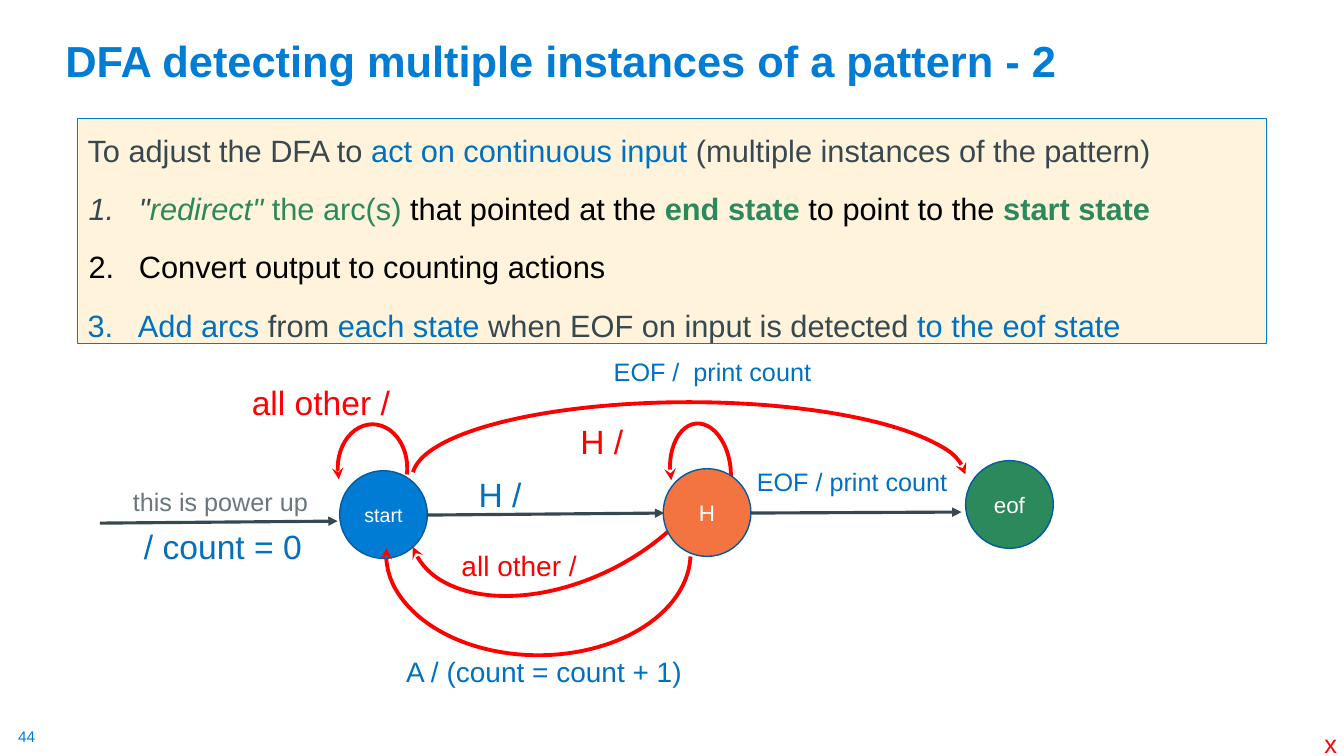
"""Build the slide on a DFA that detects multiple instances of a pattern."""
from dataclasses import dataclass

from lxml.etree import SubElement
from pptx import Presentation
from pptx.dml.color import RGBColor
from pptx.enum.shapes import MSO_CONNECTOR, MSO_SHAPE
from pptx.enum.text import MSO_ANCHOR, MSO_AUTO_SIZE, PP_ALIGN
from pptx.oxml.ns import qn
from pptx.util import Pt

FONT = "Arial"
SKY, BLUE, NAVY = "007CD5", "0070C0", "005C9E"
SLATE, GRAY, BLACK, WHITE = "384851", "6B767D", "000000", "FFFFFF"
RED, GREEN, ORANGE, CREAM = "FF0000", "2C895B", "F37440", "FFF4DB"


@dataclass
class Span:
    text: str
    color: str
    bold: bool = False
    italic: bool = False


@dataclass
class Label:
    text: str
    left: float
    top: float
    width: float
    height: float
    size: float
    color: str
    inset: bool = True


@dataclass
class State:
    name: str
    left: float
    top: float
    fill: str
    size: float
    diameter: float = 62.64


@dataclass
class Arc:
    left: float
    top: float
    width: float
    height: float
    rotation: float
    angles: tuple[float, float]
    flips: tuple[str, ...] = ()


@dataclass
class Transition:
    start: tuple[float, float]
    end: tuple[float, float]


STEPS = [
    (0, [Span("To adjust the DFA to ", SLATE), Span("act on continuous input", BLUE),
         Span(" (multiple instances of the pattern)", SLATE)]),
    (36.72, [Span('"', SLATE, italic=True), Span('redirect" ', GREEN, italic=True),
             Span("the arc(s) ", GREEN), Span("that pointed at the ", BLACK),
             Span("end state ", GREEN, bold=True), Span("to point to the ", BLACK),
             Span("start state", GREEN, bold=True)]),
    (36.72, [Span("Convert output to counting actions", BLACK)]),
    (36, [Span("Add arcs ", BLUE), Span("from ", SLATE), Span("each state ", BLUE),
          Span("when EOF on input is detected ", SLATE), Span("to the eof state", BLUE)]),
]
ARCS_BEHIND_STATES = [
    Arc(478.8, 302.4, 43.2, 68.4, 354.6, (97.26, 7.02), ("flipH",)),
    Arc(284.4, 270, 238.32, 144.72, 154.1, (139.73, 1.19)),
]
ARCS_OVER_STATES = [
    Arc(241.2, 303.12, 49.68, 62.64, 180, (101.78, 11.06), ("flipV",)),
    Arc(275.76, 322.56, 217.44, 145.44, 180, (108.69, 1.19)),
    Arc(294.48, 287.28, 395.28, 108, 180, (108.69, 215.59), ("flipH", "flipV")),
]
STATES = [
    State("start", 242.64, 336.24, SKY, 14),
    State("H", 473.76, 334.8, ORANGE, 16),
    State("eof", 689.76, 329.04, GREEN, 16),
]
TRANSITIONS = [
    Transition((71.28, 373.68), (241.2, 372.24)),
    Transition((304.56, 367.92), (474.48, 366.48)),
    Transition((536.4, 366.48), (686.88, 365.76)),
]
LABELS = [
    Label("44", 12.96, 519.12, 13.68, 13.68, 11, SKY, inset=False),
    Label("x", 938.88, 516.96, 23.76, 28.8, 18, RED),
    Label("H /", 407.52, 297.36, 45.36, 36, 24, RED),
    Label("H /", 334.8, 334.8, 45.36, 36, 24, BLUE),
    Label("all other /", 322.56, 388.08, 97.2, 31.68, 20, RED),
    Label("all other /", 172.8, 269.28, 114.48, 36, 24, RED),
    Label("A / (count = count + 1)", 282.96, 463.68, 212.4, 31.68, 20, BLUE),
    Label("EOF / print count", 533.52, 329.76, 156.96, 28.8, 18, BLUE),
    Label("EOF /  print count", 431.28, 251.28, 156.96, 28.8, 18, BLUE),
    Label("/ count = 0", 95.76, 372.24, 128.16, 36, 24, BLUE),
    Label("this is power up", 87.84, 344.16, 141.12, 28.8, 18, GRAY),
]


def rgb(color: str) -> RGBColor:
    return RGBColor.from_string(color)


def add_span(paragraph, span: Span, size: float) -> None:
    run = paragraph.add_run()
    run.text = span.text
    run.font.name = FONT
    run.font.size = Pt(size)
    run.font.bold = span.bold
    run.font.italic = span.italic
    run.font.color.rgb = rgb(span.color)


def set_line(shape, color: str, width: float, arrowhead: str = "") -> None:
    shape.line.color.rgb = rgb(color)
    shape.line.width = Pt(width)
    if arrowhead:
        SubElement(shape.line._get_or_add_ln(), qn("a:tailEnd"), type=arrowhead)


def add_preset(slide, preset, left: float, top: float, width: float, height: float):
    shape = slide.shapes.add_shape(preset, Pt(left), Pt(top), Pt(width), Pt(height))
    shape.shadow.inherit = False
    return shape


def add_title(slide) -> None:
    title = slide.shapes.add_textbox(Pt(39.6), Pt(9.36), Pt(828), Pt(56.16))
    frame = title.text_frame
    frame.word_wrap = True
    frame.vertical_anchor = MSO_ANCHOR.BOTTOM
    frame.paragraphs[0].line_spacing = 0.9
    heading = Span("DFA detecting multiple instances of a pattern - 2", SKY, bold=True)
    add_span(frame.paragraphs[0], heading, 31)


def add_steps(slide) -> None:
    panel = add_preset(slide, MSO_SHAPE.RECTANGLE, 55.44, 84.96, 848.88, 160.56)
    panel.fill.solid()
    panel.fill.fore_color.rgb = rgb(CREAM)
    set_line(panel, SKY, 0.75)
    frame = panel.text_frame
    frame.word_wrap = True
    frame.vertical_anchor = MSO_ANCHOR.TOP
    for index, (indent, spans) in enumerate(STEPS):
        paragraph = frame.add_paragraph() if index else frame.paragraphs[0]
        paragraph.alignment = PP_ALIGN.LEFT
        paragraph.line_spacing = 1.2
        if index:
            paragraph.space_before = Pt(10)
            properties = paragraph._p.get_or_add_pPr()
            properties.set("marL", str(Pt(indent)))
            properties.set("indent", str(Pt(-36)))
            SubElement(properties, qn("a:buFont"), typeface="+mj-lt")
            SubElement(properties, qn("a:buAutoNum"), type="arabicPeriod")
        for span in spans:
            add_span(paragraph, span, 22)


def add_arc(slide, arc: Arc) -> None:
    shape = add_preset(slide, MSO_SHAPE.ARC, arc.left, arc.top, arc.width, arc.height)
    shape.adjustments[0], shape.adjustments[1] = arc.angles
    shape.rotation = arc.rotation
    for flip in arc.flips:
        shape.element.spPr.xfrm.set(flip, "1")
    shape.fill.background()
    set_line(shape, RED, 2.75, "stealth")


def add_state(slide, state: State) -> None:
    circle = add_preset(slide, MSO_SHAPE.OVAL, state.left, state.top,
                        state.diameter, state.diameter)
    circle.fill.solid()
    circle.fill.fore_color.rgb = rgb(state.fill)
    set_line(circle, NAVY, 1)
    frame = circle.text_frame
    frame.word_wrap = False
    frame.vertical_anchor = MSO_ANCHOR.MIDDLE
    frame.paragraphs[0].alignment = PP_ALIGN.CENTER
    add_span(frame.paragraphs[0], Span(state.name, WHITE), state.size)


def add_transition(slide, transition: Transition) -> None:
    ends = [Pt(value) for value in transition.start + transition.end]
    arrow = slide.shapes.add_connector(MSO_CONNECTOR.STRAIGHT, *ends)
    set_line(arrow, SLATE, 2.25, "triangle")
    SubElement(arrow.element.spPr, qn("a:effectLst"))


def add_label(slide, label: Label) -> None:
    box = slide.shapes.add_textbox(Pt(label.left), Pt(label.top),
                                   Pt(label.width), Pt(label.height))
    frame = box.text_frame
    frame.word_wrap = False
    frame.auto_size = MSO_AUTO_SIZE.SHAPE_TO_FIT_TEXT
    if not label.inset:
        frame.margin_left = frame.margin_right = Pt(0)
        frame.margin_top = frame.margin_bottom = Pt(0)
    add_span(frame.paragraphs[0], Span(label.text, label.color), label.size)


def main() -> None:
    deck = Presentation()
    deck.slide_width, deck.slide_height = Pt(960), Pt(540)
    slide = deck.slides.add_slide(deck.slide_layouts[6])
    add_title(slide)
    add_steps(slide)
    layers = [(add_arc, ARCS_BEHIND_STATES), (add_state, STATES),
              (add_transition, TRANSITIONS), (add_arc, ARCS_OVER_STATES),
              (add_label, LABELS)]
    for draw, parts in layers:
        for part in parts:
            draw(slide, part)
    deck.save("out.pptx")


if __name__ == "__main__":
    main()
